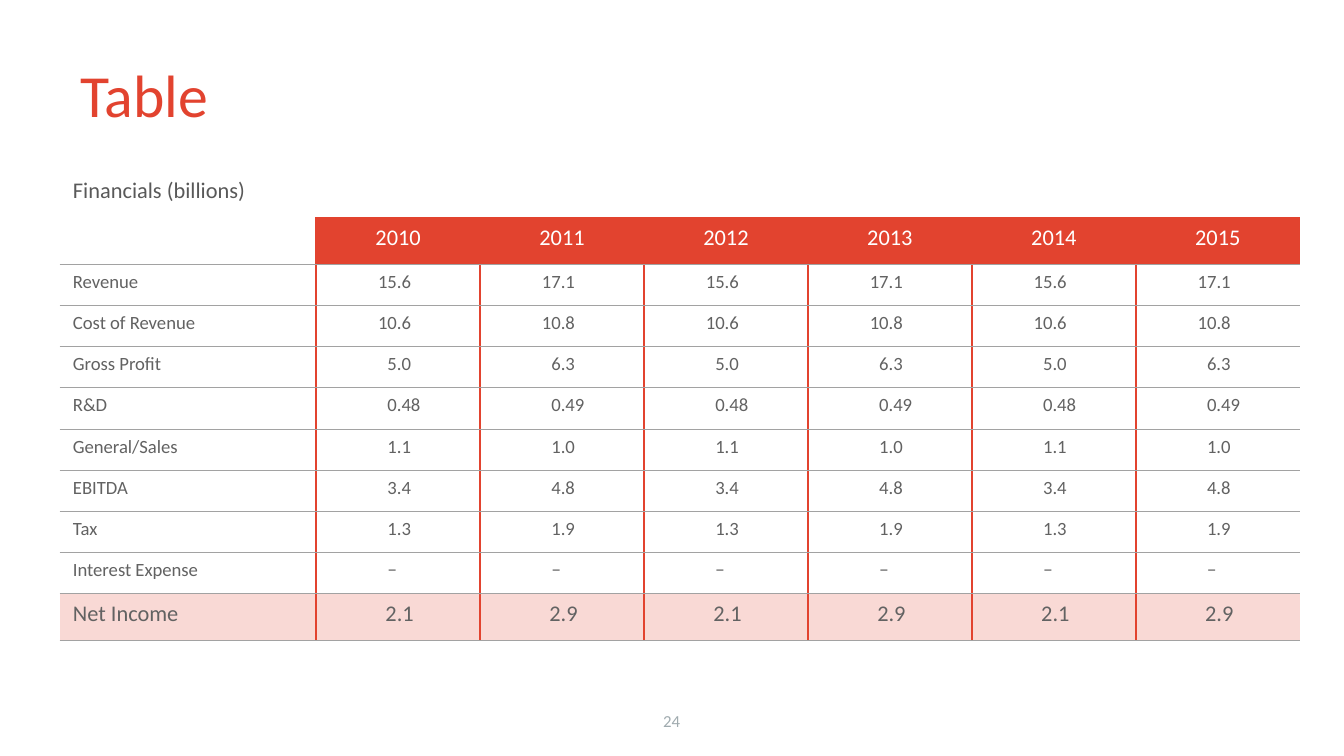
from dataclasses import dataclass

from lxml.etree import SubElement
from pptx import Presentation
from pptx.dml.color import RGBColor
from pptx.enum.text import MSO_ANCHOR, PP_ALIGN
from pptx.oxml.ns import qn
from pptx.util import Pt

COLORS = {
    "accent": "E2432F",
    "pale": "F9D9D5",
    "rule": "A2A2A2",
    "heading": "595959",
    "body": "626262",
    "white": "FFFFFF",
    "number": "A0ABAF",
}
FONT = "Calibri"
YEARS = ["2010", "2011", "2012", "2013", "2014", "2015"]
LABEL_WIDTH, YEAR_WIDTH = 137.52, 87.84
TALL_ROW, SHORT_ROW = 25, 22.1


@dataclass
class Label:
    text: str
    left: float
    top: float
    width: float
    height: float
    size: float
    color: str
    align: PP_ALIGN = PP_ALIGN.LEFT


@dataclass
class Row:
    name: str
    even_year: str
    odd_year: str
    size: float = 10
    fill: str = ""

    def texts(self) -> list[str]:
        """Return the row name and its tabbed yearly values."""
        values = [self.odd_year if int(y) % 2 else self.even_year for y in YEARS]
        return [self.name] + [f"\t{v}" for v in values]


LABELS = [
    Label("Table", 36, 16.56, 648, 67.68, 32, "accent"),
    Label("24", 275.76, 375.12, 168, 21.6, 9, "number", PP_ALIGN.CENTER),
]
ROWS = [
    Row("Revenue", "15.6", "17.1"),
    Row("Cost of Revenue", "10.6", "10.8"),
    Row("Gross Profit", "5.0", "6.3"),
    Row("R&D", "0.48", "0.49"),
    Row("General/Sales", "1.1", "1.0"),
    Row("EBITDA", "3.4", "4.8"),
    Row("Tax", "1.3", "1.9"),
    Row("Interest Expense", "−", "−"),
    Row("Net Income", "2.1", "2.9", 12, "pale"),
]


def style(p, size: float, color: str, align: PP_ALIGN = PP_ALIGN.LEFT) -> None:
    """Set the font and alignment of a paragraph."""
    p.alignment = align
    p.font.name = FONT
    p.font.size = Pt(size)
    p.font.color.rgb = RGBColor.from_string(COLORS[color])


def add_label(s, label: Label) -> None:
    """Add a vertically centred text box."""
    sp = s.shapes.add_textbox(
        Pt(label.left), Pt(label.top), Pt(label.width), Pt(label.height)
    )
    tf = sp.text_frame
    tf.word_wrap = True
    tf.vertical_anchor = MSO_ANCHOR.MIDDLE
    p = tf.paragraphs[0]
    p.text = label.text
    style(p, label.size, label.color, label.align)


def set_border(cell, side: str, color: str, width: float) -> None:
    """Draw one cell edge, or clear it when no colour is given."""
    ln = SubElement(cell._tc.get_or_add_tcPr(), qn(f"a:ln{side}"), w=str(Pt(width)))
    if color:
        fill = SubElement(ln, qn("a:solidFill"))
        SubElement(fill, qn("a:srgbClr"), val=COLORS[color])
    else:
        SubElement(ln, qn("a:noFill"))


def set_borders(cell, row: int, col: int) -> None:
    """Put red lines between columns and grey lines under the rows."""
    last = len(YEARS)
    set_border(cell, "L", "accent" if row and col else "", 1.5)
    set_border(cell, "R", "accent" if row and col < last else "", 1.5)
    set_border(cell, "T", "rule" if row > 1 else "", 0.25)
    set_border(cell, "B", "rule" if row else "", 0.25)


def fill_cell(cell, text: str, size: float, color: str, fill: str,
              align: PP_ALIGN = PP_ALIGN.LEFT) -> None:
    """Write the text of a cell and paint its background."""
    p = cell.text_frame.paragraphs[0]
    p.text = text
    if text.startswith("\t"):
        tabs = SubElement(p._p.get_or_add_pPr(), qn("a:tabLst"))
        SubElement(tabs, qn("a:tab"), pos=str(Pt(36)), algn="dec")
    style(p, size, color, align)
    if not text:
        SubElement(p._p, qn("a:endParaRPr"), sz=str(int(size * 100)))
    if fill:
        cell.fill.solid()
        cell.fill.fore_color.rgb = RGBColor.from_string(COLORS[fill])
    else:
        cell.fill.background()


def add_financials(s) -> None:
    """Add the table of yearly figures."""
    heights = [TALL_ROW] * 2 + [SHORT_ROW] * (len(ROWS) - 1) + [TALL_ROW]
    widths = [LABEL_WIDTH] + [YEAR_WIDTH] * len(YEARS)
    table = s.shapes.add_table(
        len(heights), len(widths), Pt(31.9), Pt(91.44), Pt(sum(widths)), Pt(sum(heights))
    ).table
    table.first_row = table.horz_banding = False
    for column, width in zip(table.columns, widths):
        column.width = Pt(width)
    for row, height in zip(table.rows, heights):
        row.height = Pt(height)
    for r in range(len(heights)):
        for c in range(len(widths)):
            cell = table.cell(r, c)
            set_borders(cell, r, c)
            if r == 0:
                fill_cell(cell, "" if c else "Financials (billions)", 12, "heading", "")
            elif r == 1:
                fill_cell(cell, YEARS[c - 1] if c else "", 12, "white",
                          "accent" if c else "", PP_ALIGN.CENTER)
            else:
                line = ROWS[r - 2]
                fill_cell(cell, line.texts()[c], line.size, "body", line.fill)


def main() -> None:
    """Build the slide and save it."""
    prs = Presentation()
    prs.slide_width, prs.slide_height = Pt(720), Pt(405)
    s = prs.slides.add_slide(prs.slide_layouts[6])
    for label in LABELS:
        add_label(s, label)
    add_financials(s)
    prs.save("out.pptx")


if __name__ == "__main__":
    main()
